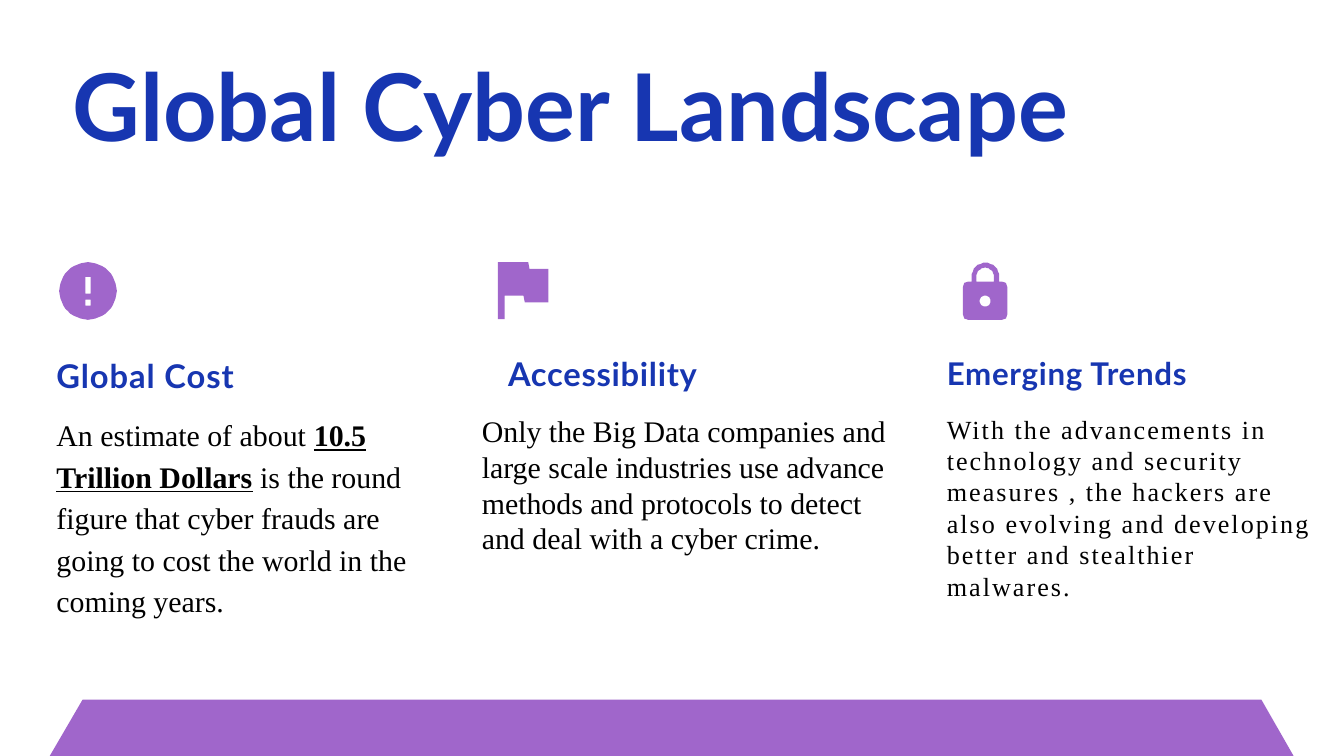
import math
from dataclasses import dataclass

import pptx
import pptx.dml.color
import pptx.enum.text
import pptx.util

BLUE = pptx.dml.color.RGBColor(0x17, 0x36, 0xB1)
PURPLE = pptx.dml.color.RGBColor(0xA0, 0x66, 0xCB)
BLACK = pptx.dml.color.RGBColor(0x00, 0x00, 0x00)
HEADING_FONT = "Lato"
BODY_FONT = "Times New Roman"
PX = 9144
TITLE_ONLY = 5
COLUMN_TOP = 496

Point = tuple[float, float]
Contour = list[Point]


@dataclass(frozen=True)
class Phrase:
    text: str
    emphasis: bool = False


@dataclass(frozen=True)
class Column:
    left: int
    width: int
    height: int
    inset: int
    heading: str
    heading_size: float
    heading_spacing: float
    heading_indent: int
    phrases: tuple[Phrase, ...]
    body_size: float
    body_spacing: float
    body_gap: float
    line_spacing: float


COLUMNS = (
    Column(83, 590, 428, 34, "Global Cost", 35, 1, 1,
           (Phrase("An estimate of about "),
            Phrase("10.5 Trillion Dollars", emphasis=True),
            Phrase(" is the round figure that cyber frauds are going to cost "
                   "the world in the coming years.")),
           32, 0, 16.9, 1.16),
    Column(716, 608, 334, 30, "Accessibility", 35, 0.8, 40,
           (Phrase("Only the Big Data companies and large scale industries use "
                   "advance methods and protocols to detect and deal with a "
                   "cyber crime."),),
           32, 0, 21.3, 1.0),
    Column(1408, 548, 402, 31, "Emerging Trends", 33.5, 0.8, 1,
           (Phrase("With the advancements in technology and security measures "
                   ", the hackers are also evolving and developing better and "
                   "stealthier malwares."),),
           28, 2.2, 22.9, 1.0),
)


def add_text(paragraph, text: str, *, size: float, font: str,
             color: pptx.dml.color.RGBColor, bold: bool = False,
             underline: bool = False, spacing: float = 0) -> None:
    run = paragraph.add_run()
    run.text = text
    run.font.size = pptx.util.Pt(size)
    run.font.name = font
    run.font.color.rgb = color
    run.font.bold = bold
    run.font.underline = underline
    if spacing:
        run.font._element.set("spc", str(round(spacing * 100)))


def place(shape, left: int, top: int, width: int, height: int) -> None:
    shape.left, shape.top = left * PX, top * PX
    shape.width, shape.height = width * PX, height * PX


def prepare_frame(frame, inset: int) -> None:
    frame.word_wrap = True
    frame.auto_size = pptx.enum.text.MSO_AUTO_SIZE.SHAPE_TO_FIT_TEXT
    frame.vertical_anchor = pptx.enum.text.MSO_ANCHOR.TOP
    frame.margin_left = frame.margin_right = frame.margin_bottom = 0
    frame.margin_top = inset * PX


def format_paragraph(paragraph, indent: int) -> None:
    paragraph.alignment = pptx.enum.text.PP_ALIGN.LEFT
    properties = paragraph._p.get_or_add_pPr()
    properties.set("marL", str(indent * PX))
    properties.set("indent", "0")


def add_title(slide, text: str) -> None:
    title = slide.shapes.title
    place(title, 107, 71, 1787, 253)
    prepare_frame(title.text_frame, 1)
    paragraph = title.text_frame.paragraphs[0]
    format_paragraph(paragraph, 1)
    add_text(paragraph, text, size=100, font=HEADING_FONT, color=BLUE, bold=True)


def add_column(slide, column: Column) -> None:
    box = slide.shapes.add_textbox(0, 0, 0, 0)
    place(box, column.left, COLUMN_TOP, column.width, column.height)
    frame = box.text_frame
    prepare_frame(frame, column.inset)
    heading = frame.paragraphs[0]
    format_paragraph(heading, column.heading_indent)
    add_text(heading, column.heading, size=column.heading_size, font=HEADING_FONT,
             color=BLUE, bold=True, spacing=column.heading_spacing)
    body = frame.add_paragraph()
    format_paragraph(body, 1)
    body.space_before = pptx.util.Pt(column.body_gap)
    body.line_spacing = column.line_spacing
    for phrase in column.phrases:
        add_text(body, phrase.text, size=column.body_size, font=BODY_FONT,
                 color=BLACK, bold=phrase.emphasis, underline=phrase.emphasis,
                 spacing=column.body_spacing)


def arc(x: float, y: float, radius: float, start: int, end: int,
        steps: int) -> Contour:
    angles = [math.radians(start + (end - start) * i / steps)
              for i in range(steps + 1)]
    return [(x + radius * math.cos(a), y + radius * math.sin(a)) for a in angles]


def rectangle(left: int, top: int, right: int, bottom: int) -> Contour:
    return [(left, top), (right, top), (right, bottom), (left, bottom)]


def rounded_rectangle(left: int, top: int, right: int, bottom: int,
                      radius: int) -> Contour:
    corners = rectangle(left + radius, top + radius,
                        right - radius, bottom - radius)
    return [point for i, (x, y) in enumerate(corners)
            for point in arc(x, y, radius, 180 + 90 * i, 270 + 90 * i, 4)]


def add_outline(slide, *contours: Contour) -> None:
    builder = slide.shapes.build_freeform(*contours[0][0], scale=PX)
    for i, contour in enumerate(contours):
        if i:
            builder.move_to(*contour[0])
        builder.add_line_segments(contour[1:], close=True)
    outline = builder.convert_to_shape()
    outline.shadow.inherit = False
    outline.fill.solid()
    outline.fill.fore_color.rgb = PURPLE
    outline.line.fill.background()


def add_icons(slide) -> None:
    add_outline(slide, arc(131, 433, 42.6, 0, 360, 48),
                rectangle(127, 412, 135, 437), rectangle(127, 446, 135, 455))
    add_outline(slide, [(741, 390), (786, 390), (788, 400), (816, 400),
                        (816, 450), (781, 450), (779, 440), (751, 440),
                        (751, 475), (741, 475)])
    shackle = [(1446, 419), *arc(1466.5, 411.5, 20.5, 180, 360, 16),
               (1487, 419), (1479, 419),
               *arc(1466, 411.5, 13, 360, 180, 16), (1453, 419)]
    add_outline(slide, shackle, rounded_rectangle(1433, 419, 1499, 476, 8),
                arc(1466, 448, 8, 0, 360, 24))


def main() -> None:
    presentation = pptx.Presentation()
    presentation.slide_width = 2000 * PX
    presentation.slide_height = 1125 * PX
    slide = presentation.slides.add_slide(presentation.slide_layouts[TITLE_ONLY])
    add_title(slide, "Global Cyber Landscape")
    for column in COLUMNS:
        add_column(slide, column)
    add_icons(slide)
    add_outline(slide, [(74, 1125), (123, 1041), (1877, 1041), (1925, 1125)])
    presentation.save("out.pptx")


if __name__ == "__main__":
    main()
